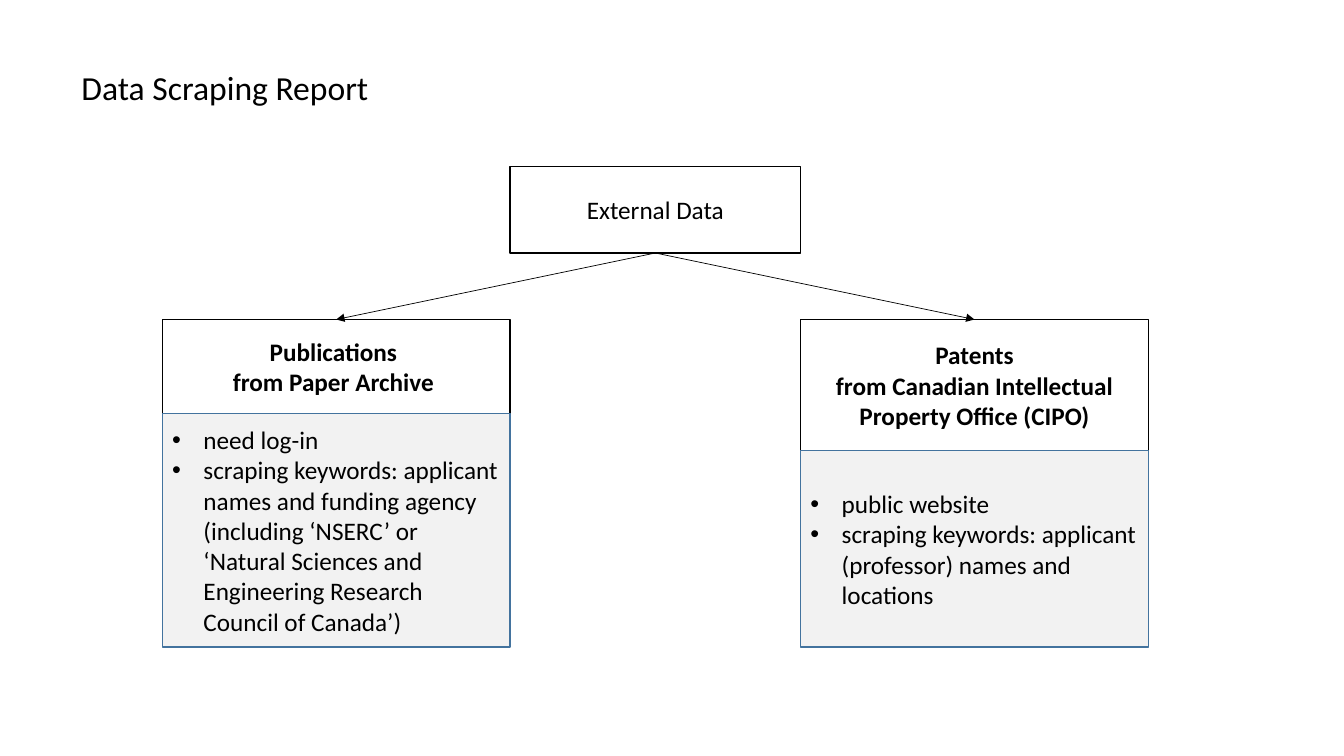
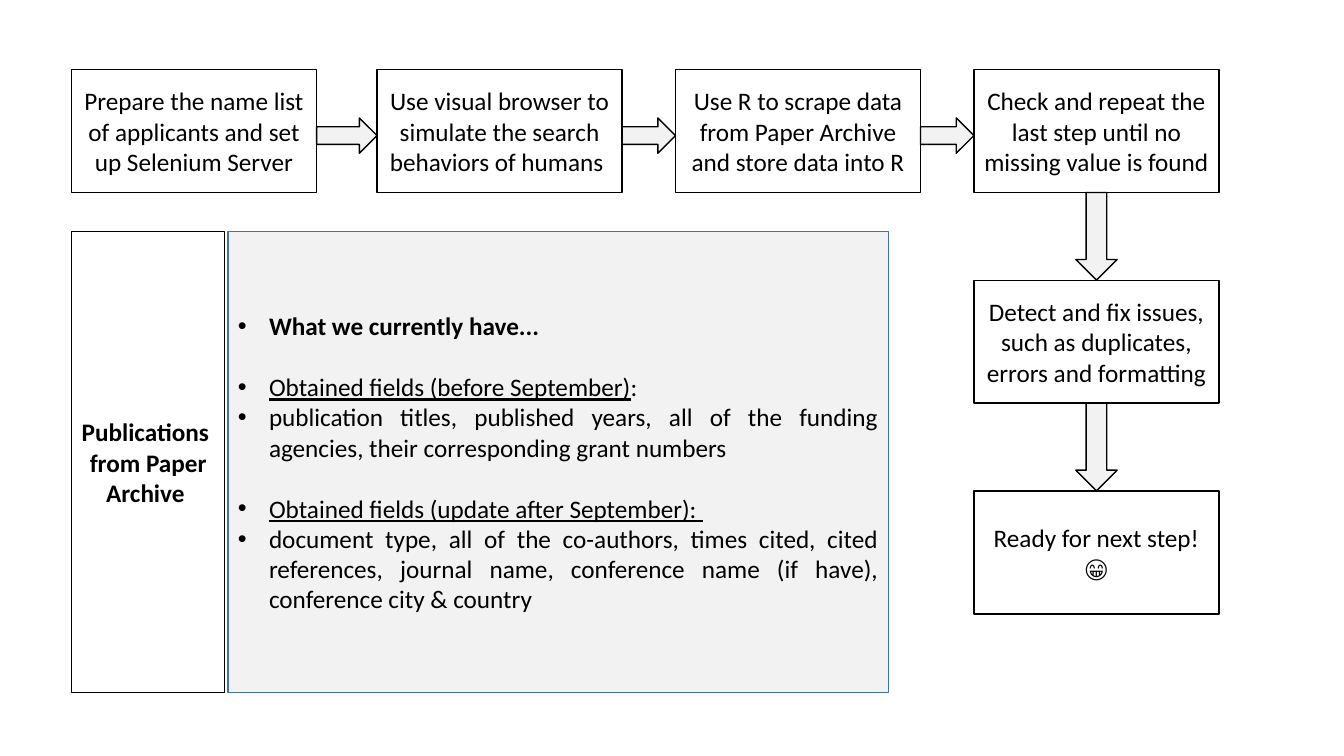
from dataclasses import dataclass

from lxml import etree
from pptx import Presentation
from pptx.dml.color import RGBColor
from pptx.enum import shapes, text
from pptx.oxml import ns
from pptx.util import Inches, Pt


@dataclass(frozen=True)
class Theme:
    font: str = "Calibri"
    ink: RGBColor = RGBColor(0, 0, 0)
    panel: RGBColor = RGBColor(0xF2, 0xF2, 0xF2)
    edge: RGBColor = RGBColor(0x43, 0x73, 0x9E)
    title: int = 24
    body: int = 18
    border: float = 1
    arrow: float = 0.5
    indent: float = 0.31


@dataclass(frozen=True)
class Line:
    words: str
    bold: bool = False
    underline: bool = False
    tail: str = ""
    justify: bool = False
    gap: int = 0


THEME = Theme()
WIDTH, HEIGHT = 13.33, 7.5
LEFT = 0.71
SOURCE = (Line("Publications ", bold=True), Line("from Paper Archive ", bold=True))


def add_child(parent, tag, **attributes):
    return etree.SubElement(parent, ns.qn(tag), attributes)


def set_bullet(paragraph):
    properties = paragraph._p.get_or_add_pPr()
    properties.set("marL", str(Inches(THEME.indent)))
    properties.set("indent", str(-Inches(THEME.indent)))
    add_child(properties, "a:buFont", typeface="Arial")
    add_child(properties, "a:buChar", char="•")


def set_font(paragraph, size, bold=False):
    font = paragraph.font
    font.name, font.size, font.bold = THEME.font, Pt(size), bold
    font.color.rgb = THEME.ink


def write(frame, lines, bulleted=False):
    frame.word_wrap = True
    frame.vertical_anchor = text.MSO_ANCHOR.MIDDLE
    for index, line in enumerate(lines):
        paragraph = frame.paragraphs[0] if index == 0 else frame.add_paragraph()
        if bulleted:
            set_bullet(paragraph)
            paragraph.alignment = text.PP_ALIGN.JUSTIFY if line.justify else text.PP_ALIGN.LEFT
        else:
            paragraph.alignment = text.PP_ALIGN.CENTER
        if line.gap:
            paragraph.space_before = Pt(line.gap)
        set_font(paragraph, THEME.body, line.bold)
        run = paragraph.add_run()
        run.text = line.words
        if line.underline:
            run.font.underline = True
        if line.tail:
            paragraph.add_run().text = line.tail


def add_outline(slide, kind, place, edge, fill=None):
    shape = slide.shapes.add_shape(kind, *map(Inches, place))
    shape.shadow.inherit = False
    if fill is None:
        shape.fill.background()
    else:
        shape.fill.solid()
        shape.fill.fore_color.rgb = fill
    shape.line.color.rgb = edge
    shape.line.width = Pt(THEME.border)
    return shape


def add_box(slide, place, lines):
    box = add_outline(slide, shapes.MSO_SHAPE.RECTANGLE, place, THEME.ink)
    write(box.text_frame, lines)
    return box


def add_panel(slide, place, lines):
    panel = add_outline(slide, shapes.MSO_SHAPE.RECTANGLE, place, THEME.edge, THEME.panel)
    write(panel.text_frame, lines, bulleted=True)


def add_block_arrow(slide, kind, place):
    add_outline(slide, kind, place, THEME.ink, THEME.panel)


def add_branch(slide, parent, child):
    branch = slide.shapes.add_connector(shapes.MSO_CONNECTOR.STRAIGHT, 0, 0, 0, 0)
    branch.begin_connect(parent, 2)
    branch.end_connect(child, 0)
    branch.line.color.rgb = THEME.ink
    branch.line.width = Pt(THEME.arrow)
    add_child(branch.line._get_or_add_ln(), "a:tailEnd", type="triangle")
    add_child(branch._element.spPr, "a:effectLst")


def add_title(slide, words):
    frame = slide.shapes.add_textbox(*map(Inches, (LEFT, 0.61, 3.07, 0.5))).text_frame
    frame.word_wrap = False
    frame.text = words
    set_font(frame.paragraphs[0], THEME.title)


def add_card(slide, left, width, heading, heading_height, points):
    top, bottom = 3.17, 6.42
    middle = top + heading_height
    header = add_box(slide, (left, top, width, heading_height), heading)
    add_panel(slide, (left, middle, width, bottom - middle), points)
    return header


def build_sources(slide):
    add_title(slide, "Data Scraping Report")
    card_width, root_width = 3.45, 2.88
    first = 1.61
    center = first + card_width
    last = center + root_width
    root = add_box(slide, (center, 1.65, root_width, 0.86), [Line("External Data")])
    patents = add_card(
        slide, last, card_width,
        [Line("Patents", bold=True),
         Line("from Canadian Intellectual Property Office (CIPO)", bold=True)],
        1.3,
        [Line("public website"),
         Line("scraping keywords: applicant (professor) names and locations")])
    publications = add_card(
        slide, first, card_width, SOURCE, 0.93,
        [Line("need log-in"),
         Line("scraping keywords: applicant names and funding agency (including "
              "‘NSERC’ or ‘Natural Sciences and Engineering Research Council of Canada’) ")])
    for card in (publications, patents):
        add_branch(slide, root, card)


def build_process(slide):
    columns = (LEFT, 3.74, 6.7, 9.66)
    step_width, step_height = 2.43, 1.22
    rows = [0.69 + 2.09 * row for row in range(3)]
    across = (
        "Prepare the name list of applicants and set up Selenium Server",
        "Use visual browser to simulate the search behaviors of humans ",
        "Use R to scrape data from Paper Archive and store data into R",
        "Check and repeat the last step until no missing value is found")
    down = (
        [Line("Detect and fix issues, such as duplicates, errors and formatting")],
        [Line("Ready for next step!"), Line("😁")])

    for left, words in zip(columns, across):
        add_box(slide, (left, rows[0], step_width, step_height), [Line(words)])
    for top, lines in zip(rows[1:], down):
        add_box(slide, (columns[-1], top, step_width, step_height), lines)

    thickness = 0.35
    for left, following in zip(columns, columns[1:]):
        start = left + step_width
        add_block_arrow(slide, shapes.MSO_SHAPE.RIGHT_ARROW,
                        (start, 1.17, following - start, thickness))
    thickness = 0.41
    for top, following in zip(rows, rows[1:]):
        start = top + step_height
        add_block_arrow(slide, shapes.MSO_SHAPE.DOWN_ARROW,
                        (columns[-1] + (step_width - thickness) / 2, start,
                         thickness, following - start))

    fields_top, fields_height = 2.3, 4.57
    add_box(slide, (LEFT, fields_top, 1.52, fields_height), SOURCE)
    add_panel(slide, (2.26, fields_top, 6.55, fields_height), [
        Line("What we currently have...", bold=True),
        Line("Obtained fields (before September)", underline=True, tail=": ",
             justify=True, gap=22),
        Line("publication titles, published years, all of the funding agencies, "
             "their corresponding grant numbers", justify=True),
        Line("Obtained fields (update after September): ", underline=True,
             justify=True, gap=22),
        Line("document type, all of the co-authors, times cited, cited references, "
             "journal name, conference name (if have), conference city & country",
             justify=True)])


def main():
    deck = Presentation()
    deck.slide_width, deck.slide_height = Inches(WIDTH), Inches(HEIGHT)
    for build in (build_sources, build_process):
        build(deck.slides.add_slide(deck.slide_layouts[6]))
    deck.save("out.pptx")


main()
